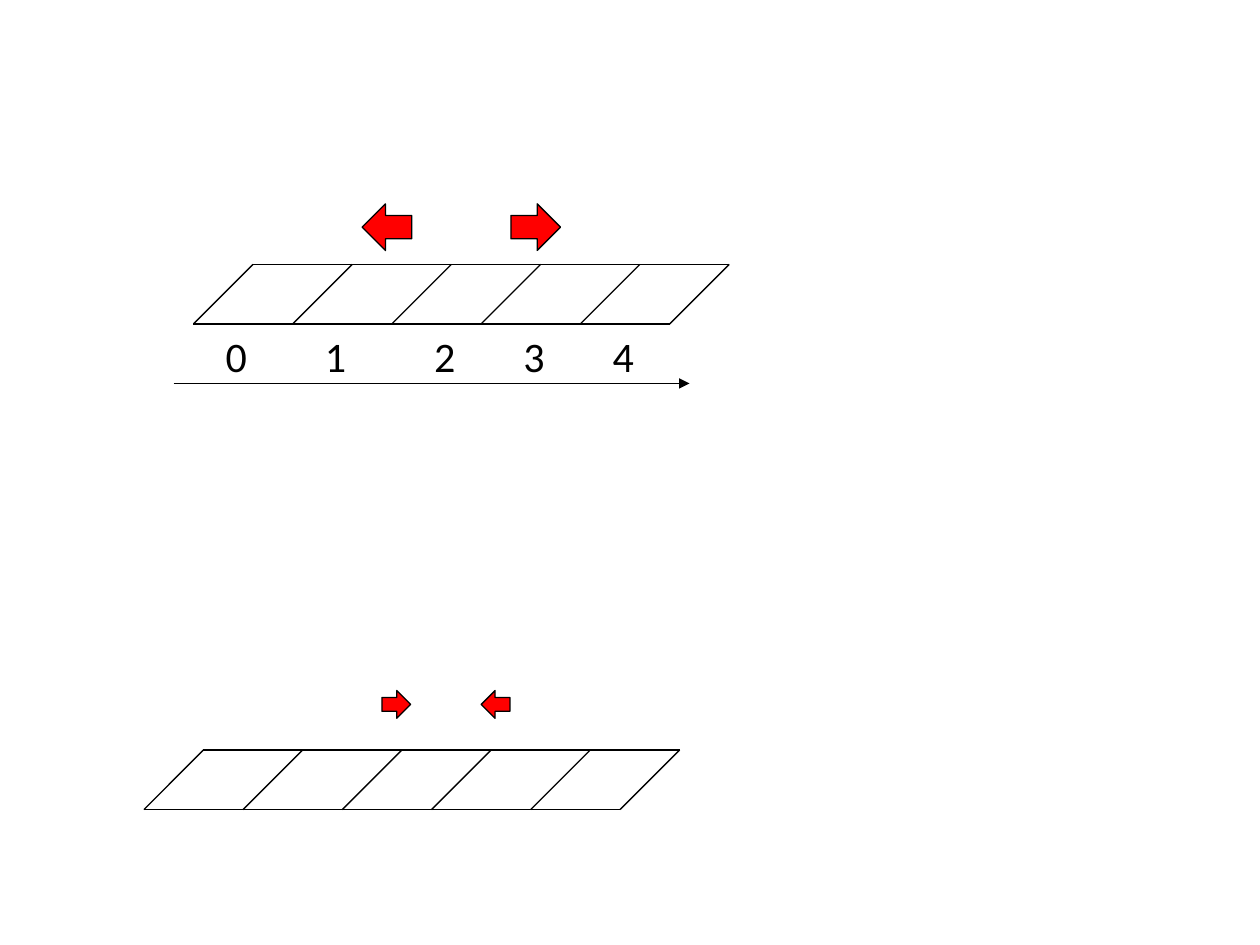
from lxml.etree import SubElement
from pptx import Presentation
from pptx.dml.color import RGBColor
from pptx.enum.shapes import MSO_CONNECTOR as Connector, MSO_SHAPE as Shape
from pptx.oxml.ns import qn
from pptx.util import Cm, Pt

BLACK = RGBColor(0x00, 0x00, 0x00)
RED = RGBColor(0xFF, 0x00, 0x00)

CELL_WIDTH = 2
SLANT = 1.2
CELL_STARTS = [0, 2, 3.8, 5.8, 7.6]
LABEL_STARTS = [0.4, 2.4, 4.6, 6.4, 8.2]


def add_line(slide, x1, y1, x2, y2):
    """Draw a thin black line between two points in centimetres."""
    line = slide.shapes.add_connector(
        Connector.STRAIGHT, Cm(x1), Cm(y1), Cm(x2), Cm(y2))
    line.line.color.rgb = BLACK
    line.line.width = Pt(0.75)
    SubElement(line._element.spPr, qn("a:effectLst"))
    return line


def add_strip(slide, left, top):
    """Draw a row of slanted cells whose lower left corner is at left."""
    bottom = top + SLANT
    add_line(slide, left + SLANT, top, left, bottom)
    for start in CELL_STARTS:
        near = left + start
        far = near + CELL_WIDTH
        add_line(slide, near + SLANT, top, far + SLANT, top)
        add_line(slide, far + SLANT, top, far, bottom)
        add_line(slide, near, bottom, far, bottom)


def add_axis(slide, left, top):
    """Number the cells from zero above an arrow pointing right."""
    for number, start in enumerate(LABEL_STARTS):
        label = slide.shapes.add_textbox(
            Cm(left + start), Cm(top), Cm(0.94), Cm(1.27))
        label.text_frame.word_wrap = False
        paragraph = label.text_frame.paragraphs[0]
        paragraph.text = str(number)
        paragraph.font.name = "Calibri"
        paragraph.font.size = Pt(24)
        paragraph.font.color.rgb = BLACK
    axis_y = top + 1.2
    axis = add_line(slide, left - 0.4, axis_y, left + 10, axis_y)
    SubElement(axis.line._get_or_add_ln(), qn("a:tailEnd"), type="triangle")


def add_force(slide, left, top, width, height, rotation):
    """Place a red block arrow turned by the given angle."""
    force = slide.shapes.add_shape(
        Shape.RIGHT_ARROW, Cm(left), Cm(top), Cm(width), Cm(height))
    force.rotation = rotation
    force.shadow.inherit = False
    force.fill.solid()
    force.fill.fore_color.rgb = RED
    force.line.color.rgb = BLACK
    force.line.width = Pt(0.75)


def add_stretched(slide, left, top):
    """Draw the numbered strip with arrows pointing apart."""
    add_strip(slide, left, top)
    add_axis(slide, left, top + SLANT)
    add_force(slide, left + 6.4, top - 1.22, 1, 0.94, 0)
    add_force(slide, left + 3.4, top - 1.22, 1, 0.94, 180)


def add_compressed(slide, left, top):
    """Draw the plain strip with small arrows pointing together."""
    add_strip(slide, left, top)
    add_force(slide, left + 6.8, top - 1.2, 0.58, 0.56, 180)
    add_force(slide, left + 4.8, top - 1.2, 0.58, 0.56, 0)


def main():
    """Build the slide and save it."""
    deck = Presentation()
    deck.slide_width = Cm(25.4)
    deck.slide_height = Cm(19.05)
    slide = deck.slides.add_slide(deck.slide_layouts[6])
    add_stretched(slide, 3.9, 5.33)
    add_compressed(slide, 2.9, 15.12)
    deck.save("out.pptx")


if __name__ == "__main__":
    main()
